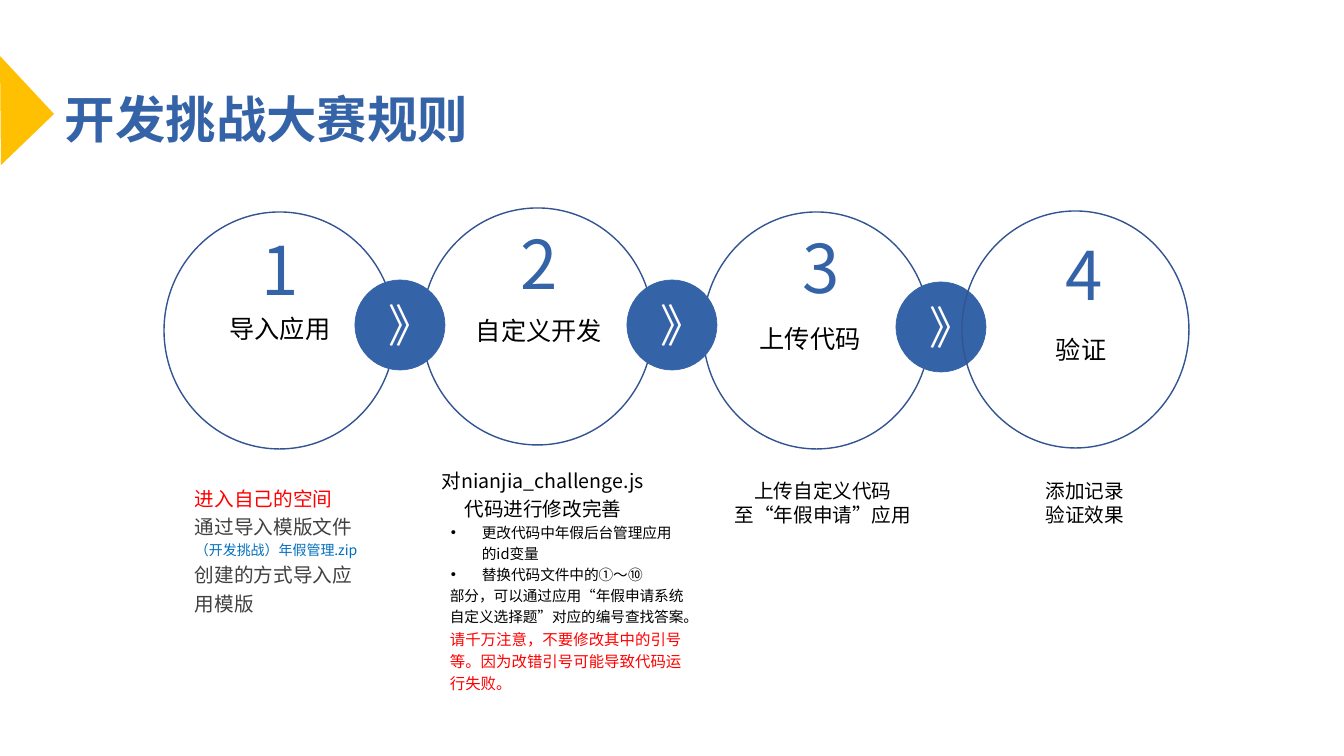
from pptx import Presentation
from pptx.dml.color import RGBColor
from pptx.enum.shapes import MSO_SHAPE as Shape
from pptx.enum.text import MSO_ANCHOR as Anchor, PP_ALIGN as Align
from pptx.oxml.ns import qn
from pptx.util import Pt
from lxml.etree import SubElement

PX = 914400 / 100.8
BLUE = RGBColor(0x35, 0x63, 0xA8)
EDGE = RGBColor(0x32, 0x54, 0x91)
GOLD = RGBColor(0xFF, 0xC0, 0x01)
RED = RGBColor(0xFF, 0x00, 0x00)
GRAY = RGBColor(0x40, 0x40, 0x40)
SKY = RGBColor(0x00, 0x70, 0xC0)
BLACK = RGBColor(0x00, 0x00, 0x00)
WHITE = RGBColor(0xFF, 0xFF, 0xFF)
SANS, MONO, LATO = "Noto Sans CJK SC", "Fira Code", "Lato"


def px(*vals):
    return [round(v * PX) for v in vals]


def style(run, size, color, face=SANS, bold=False):
    font = run.font
    font.size, font.bold, font.name = Pt(size), bold, face
    font.color.rgb = color
    SubElement(run._r.get_or_add_rPr(), qn("a:ea"), typeface=face)


def indent(para, left, hang=0):
    """Indent a paragraph; a hanging one gets a bullet."""
    para.level = 1
    props = para._p.get_or_add_pPr()
    left, hang = px(left, hang)
    props.set("marL", str(left))
    props.set("indent", str(-hang))
    if hang:
        SubElement(props, qn("a:buFont"), typeface="Arial")
        SubElement(props, qn("a:buChar"), char="•")


def add_text(slide, box, lines, align=Align.CENTER, gap=1.0, wrap=True):
    """Each line is text, size, colour and, if indented, its left and hang."""
    frame = slide.shapes.add_textbox(*px(*box)).text_frame
    frame.word_wrap = wrap
    for i, (text, size, color, *inset) in enumerate(lines):
        para = frame.paragraphs[0] if i == 0 else frame.add_paragraph()
        para.text = text
        para.alignment, para.line_spacing = align, gap
        if inset:
            indent(para, *inset)
        style(para.runs[0], size, color)
    return frame


def add_disc(slide, box, line, width, fill=None):
    disc = slide.shapes.add_shape(Shape.OVAL, *px(*box))
    disc.shadow.inherit = False
    if fill is None:
        disc.fill.background()
    else:
        disc.fill.solid()
        disc.fill.fore_color.rgb = fill
    disc.line.color.rgb = line
    disc.line.width = Pt(width)


def add_badge(slide, left, top):
    add_disc(slide, (left, top, 90, 90), BLUE, 0.5, BLUE)
    frame = add_text(slide, (left + 27, top + 18, 37, 54),
                     [("》", 32, WHITE)], Align.LEFT, wrap=False)
    frame.margin_left, frame.margin_top = px(7, 4)
    frame.margin_right, frame.margin_bottom = px(7, 4)
    frame.vertical_anchor = Anchor.MIDDLE
    style(frame.paragraphs[0].runs[0], 32, WHITE, LATO)


def add_wedge(slide):
    pen = slide.shapes.build_freeform(0, 56, scale=PX)
    pen.add_line_segments([(54, 114), (1, 165)])
    wedge = pen.convert_to_shape()
    wedge.shadow.inherit = False
    wedge.fill.solid()
    wedge.fill.fore_color.rgb = GOLD
    wedge.line.fill.background()


def main():
    deck = Presentation()
    deck.slide_width, deck.slide_height = px(1344, 756)
    slide = deck.slides.add_slide(deck.slide_layouts[6])

    # Title
    title = add_text(slide, (0, 83, 533, 72), [("开发挑战大赛规则", 36, BLUE)])
    title.paragraphs[0].runs[0].font.bold = True
    add_wedge(slide)

    # Rings and badges, the last ring in front
    rings = [(164, 212, 231), (422, 208, 231), (703, 212, 227), (962, 211, 227)]
    badges = [(355, 280), (627, 280), (896, 282)]
    for left, top, wide in rings[:3]:
        add_disc(slide, (left, top, wide, 237), EDGE, 1)
    for left, top in badges:
        add_badge(slide, left, top)
    left, top, wide = rings[3]
    add_disc(slide, (left, top, wide, 237), EDGE, 1)

    # Step numbers and names
    steps = [
        ("1", (246, 223, 68, 92), "导入应用", (219, 308, 122, 40), 1.0),
        ("2", (445, 217, 188, 92), "自定义开发", (424, 304, 230, 44), 1.2),
        ("3", (786, 221, 71, 92), "上传代码", (702, 318, 216, 40), 1.0),
        ("4", (1051, 228, 67, 92), "验证", (997, 329, 168, 40), 1.0),
    ]
    for num, spot, name, box, gap in steps:
        add_text(slide, spot, [(num, 48, BLUE)])
        add_text(slide, box, [(name, 18, BLACK)], gap=gap)

    # Notes under the steps
    add_text(slide, (185, 477, 188, 142), [
        ("进入自己的空间", 14, RED),
        ("通过导入模版文件", 14, GRAY),
        ("（开发挑战）年假管理.zip", 10, SKY),
        ("创建的方式导入应用模版", 14, GRAY),
    ], Align.LEFT, 1.2)

    guide = add_text(slide, (390, 459, 306, 272), [
        ("对nianjia_challenge.js", 14, BLACK),
        ("代码进行修改完善", 14, BLACK),
        ("更改代码中年假后台管理应用的id变量", 10.5, BLACK, 82, 31),
        ("替换代码文件中的①～", 10.5, BLACK, 82, 31),
        ("部分，可以通过应用“年假申请系统自定义选择题”对应的编号查找答案。",
         10.5, BLACK, 50),
        ("请千万注意，不要修改其中的引号等。因为改错引号可能导致代码运行失败。",
         11, RED, 50),
    ], gap=1.2)
    for para in guide.paragraphs[2:]:
        para.alignment = Align.LEFT
    ten = guide.paragraphs[3].add_run()
    ten.text = "⑩"
    style(ten, 10.5, BLACK, MONO)

    add_text(slide, (723, 474, 200, 57),
             [("上传自定义代码至“年假申请”应用", 14, BLACK)])
    add_text(slide, (1035, 474, 100, 89),
             [("添加记录", 14, BLACK), ("验证效果", 14, BLACK)], wrap=False)

    deck.save("out.pptx")


if __name__ == "__main__":
    main()
